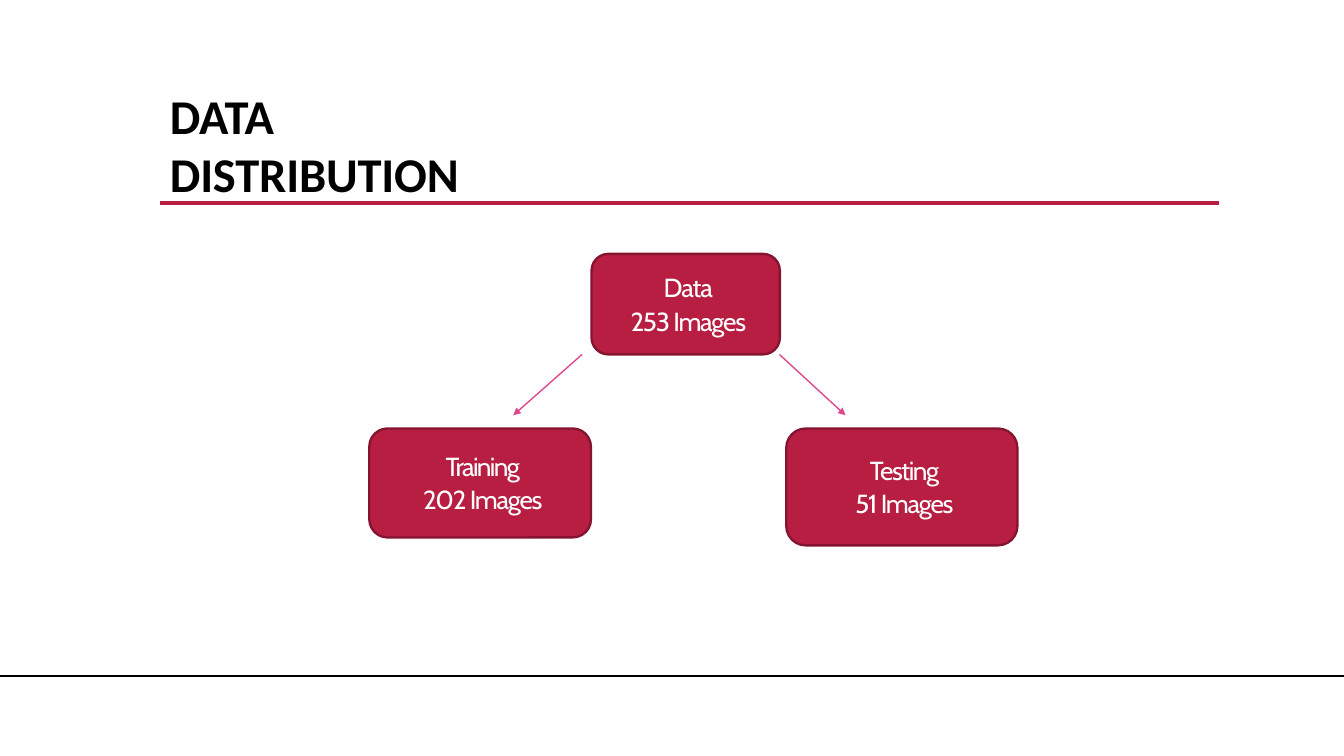
import dataclasses

import pptx
import pptx.dml.color
import pptx.enum.shapes
import pptx.enum.text
import pptx.oxml
import pptx.oxml.ns
import pptx.util

Cm, Pt = pptx.util.Cm, pptx.util.Pt
ALIGN, ANCHOR = pptx.enum.text.PP_ALIGN, pptx.enum.text.MSO_ANCHOR

CRIMSON, DARK_RED, PINK = "B71E42", "851430", "DE478E"
BLACK, WHITE = "000000", "FFFFFF"
ROW_TOP = 8.1
ARROW_TOP, ARROW_BOTTOM = 6.7, 7.85


@dataclasses.dataclass
class Node:
    label: str
    count: str
    left: float
    top: float
    width: float
    height: float
    spacing: float


@dataclasses.dataclass
class Line:
    x1: float
    y1: float
    x2: float
    y2: float
    color: str
    weight: float
    arrow: bool = False


NODES = [
    Node("Data", "253 Images", 11.18, 4.8, 3.56, 1.9, -0.6),
    Node("Training", "202 Images", 6.98, ROW_TOP, 4.19, 2.06, -0.9),
    Node("Testing", "51 Images", 14.86, ROW_TOP, 4.37, 2.21, -0.8),
]
RULES = [
    Line(0, 12.78, 25.4, 12.78, "000001", 1),
    Line(3.02, 3.84, 23.04, 3.84, CRIMSON, 2.5),
]
ARROWS = [
    Line(14.73, ARROW_TOP, 15.98, ARROW_BOTTOM, PINK, 0.75, True),
    Line(11, ARROW_TOP, 9.7, ARROW_BOTTOM, PINK, 0.75, True),
]


def rgb(color: str) -> pptx.dml.color.RGBColor:
    return pptx.dml.color.RGBColor.from_string(color)


def apply(target, formats: dict) -> None:
    for name, value in formats.items():
        setattr(target, name, value)


def write(p, text: str, align, color: str, spacing: float, font: dict) -> None:
    """Add one run to a paragraph; spacing is between letters, in points."""
    apply(p, {"alignment": align, "space_before": Pt(1)})
    r = p.add_run()
    r.text = text
    apply(r.font, font)
    r.font.color.rgb = rgb(color)
    r._r.get_or_add_rPr().set("spc", str(round(spacing * 100)))


def draw_line(s, line: Line) -> None:
    sp = s.shapes.add_connector(
        pptx.enum.shapes.MSO_CONNECTOR.STRAIGHT,
        *map(Cm, (line.x1, line.y1, line.x2, line.y2)))
    sp.line.color.rgb = rgb(line.color)
    sp.line.width = Pt(line.weight)
    if line.arrow:
        head = pptx.oxml.parse_xml(
            f'<a:tailEnd {pptx.oxml.ns.nsdecls("a")} type="triangle" w="sm" len="sm"/>')
        sp.line._get_or_add_ln().append(head)
    sp._element.spPr.append(
        pptx.oxml.parse_xml(f'<a:effectLst {pptx.oxml.ns.nsdecls("a")}/>'))


def draw_node(s, node: Node) -> None:
    sp = s.shapes.add_shape(
        pptx.enum.shapes.MSO_SHAPE.ROUNDED_RECTANGLE,
        *map(Cm, (node.left, node.top, node.width, node.height)))
    sp.shadow.inherit = False
    sp.fill.solid()
    sp.fill.fore_color.rgb = rgb(CRIMSON)
    sp.line.color.rgb = rgb(DARK_RED)
    sp.line.width = Pt(1.25)
    tf = sp.text_frame
    apply(tf, {"word_wrap": True, "vertical_anchor": ANCHOR.MIDDLE,
               "margin_left": Cm(0.1), "margin_right": 0,
               "margin_top": 0, "margin_bottom": 0})
    font = {"name": "Cabin", "size": Pt(14)}
    write(tf.paragraphs[0], node.label, ALIGN.CENTER, WHITE, node.spacing, font)
    write(tf.add_paragraph(), node.count, ALIGN.CENTER, WHITE, -0.7, font)


def draw_title(s, text: str) -> None:
    sp = s.shapes.title
    apply(sp, {"left": Cm(3.18), "top": Cm(1.6),
               "width": Cm(7.75), "height": Cm(1.17)})
    tf = sp.text_frame
    apply(tf, {"word_wrap": True, "vertical_anchor": ANCHOR.TOP,
               "auto_size": pptx.enum.text.MSO_AUTO_SIZE.NONE,
               "margin_left": Cm(0.03), "margin_right": Cm(0.75),
               "margin_top": Cm(0.03), "margin_bottom": 0})
    write(tf.paragraphs[0], text, ALIGN.LEFT, BLACK, -0.1,
          {"name": "Calibri", "size": Pt(26), "bold": True})


def main() -> None:
    prs = pptx.Presentation()
    apply(prs, {"slide_width": Cm(25.4), "slide_height": Cm(14.29)})
    s = prs.slides.add_slide(prs.slide_layouts.get_by_name("Title Only"))
    for rule in RULES:
        draw_line(s, rule)
    draw_title(s, "DATA DISTRIBUTION")
    for node in NODES:
        draw_node(s, node)
    for arrow in ARROWS:
        draw_line(s, arrow)
    prs.save("out.pptx")


if __name__ == "__main__":
    main()
